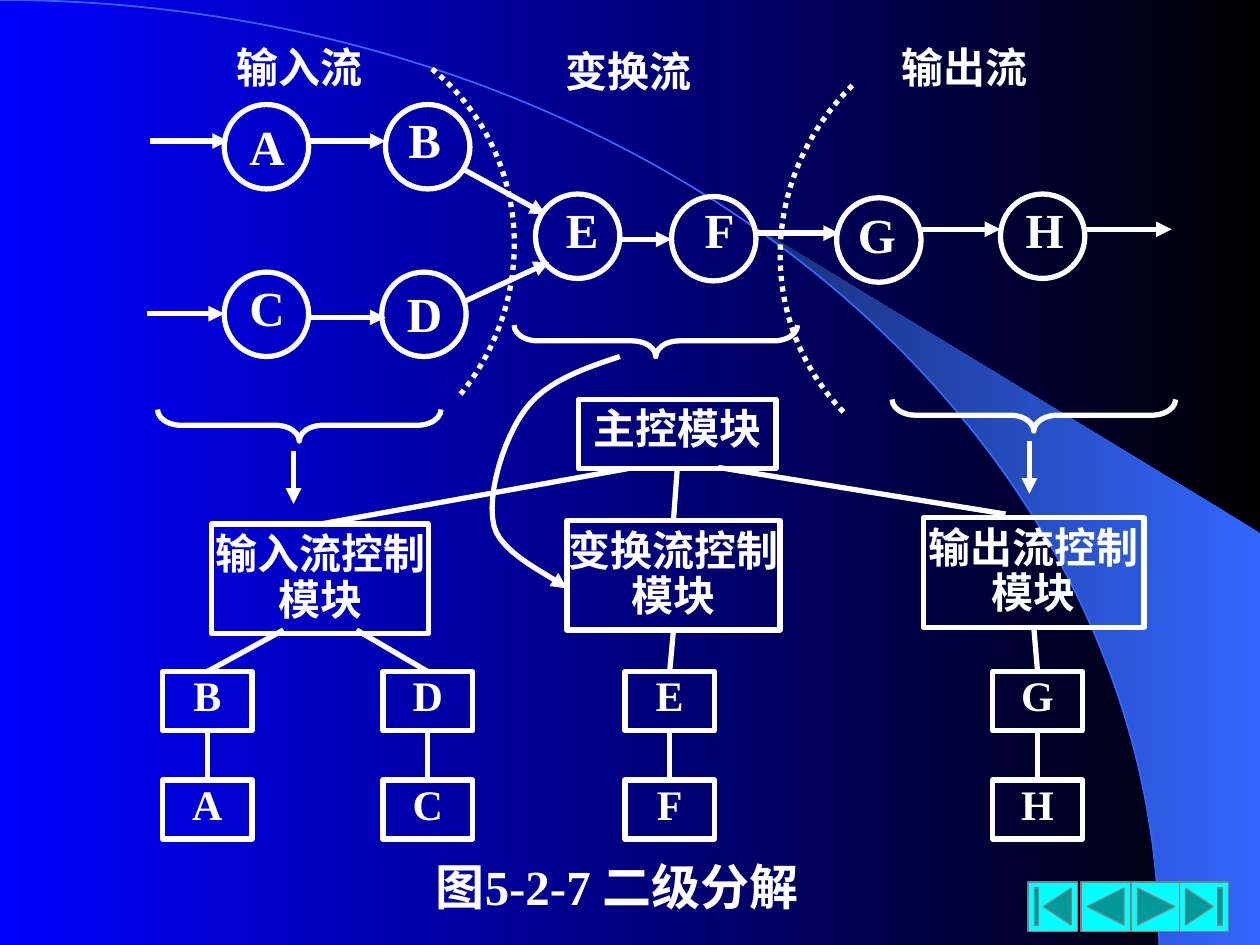
"""Draw the second-level decomposition of a data flow into a module structure."""
import math
from dataclasses import dataclass

import pptx
import pptx.dml.color
import pptx.enum.dml
import pptx.enum.shapes
import pptx.enum.text
import pptx.oxml
import pptx.oxml.ns
import pptx.util

RGBColor = pptx.dml.color.RGBColor
WHITE = RGBColor(0xFF, 0xFF, 0xFF)
BLACK = RGBColor(0x00, 0x00, 0x00)
BLUE = RGBColor(0x00, 0x00, 0xFF)
SKY = RGBColor(0x33, 0x66, 0xFF)
NAVY = RGBColor(0x17, 0x2F, 0x75)
CYAN = RGBColor(0x00, 0xFF, 0xFF)
GREY = RGBColor(0x80, 0x80, 0x80)

MSO = pptx.enum.shapes.MSO_SHAPE
ANCHOR = pptx.enum.text.MSO_ANCHOR
COLUMNS, ROWS = 100, 75
CELL = pptx.util.Inches(0.1)
TOP, BOTTOM = 0, 2
LEAF_SIZE = (7.1, 4.7)
CIRCLE_SIZE = (6.7, 6.7)
LABEL_SIZE = (5.8, 4.7)

FRAME_FORMAT = dict(word_wrap=True, vertical_anchor=ANCHOR.MIDDLE,
                    margin_left=0, margin_top=0, margin_right=0, margin_bottom=0)
CAPTION_FORMAT = dict(vertical_anchor=ANCHOR.TOP, margin_left=CELL, margin_right=3 * CELL,
                      margin_top=CELL // 2, margin_bottom=CELL // 2)
FONT_FORMAT = dict(name="Times New Roman", bold=True)


@dataclass(frozen=True)
class Process:
    """A circle of the data flow and the grid place of its letter."""
    letter: str
    col: float
    row: float
    label_col: float
    label_row: float


@dataclass(frozen=True)
class Module:
    """A box of the module structure."""
    title: str
    col: float
    row: float
    width: float
    height: float
    spacing: float = 0.72


@dataclass(frozen=True)
class Flow:
    """A straight arrow between two grid points."""
    start: tuple[float, float]
    end: tuple[float, float]


PROCESSES = [
    Process("A", 17.8, 8.3, 18.3, 9.2), Process("B", 30.6, 8.3, 30.8, 8.7),
    Process("C", 17.8, 21.6, 18.3, 22), Process("D", 30.3, 21.6, 30.8, 22.5),
    Process("E", 42.5, 15.4, 43.3, 15.8), Process("F", 53.3, 15.6, 54.2, 15.8),
    Process("G", 66.4, 15.7, 66.7, 16.2), Process("H", 79.4, 15.4, 80, 15.8),
]
FLOWS = [
    Flow((11.9, 11.2), (18.1, 11.2)), Flow((24.4, 11.2), (30.6, 11.2)),
    Flow((11.7, 24.9), (17.8, 24.9)), Flow((24.4, 25.2), (30.6, 25.2)),
    Flow((36.7, 13.4), (43.3, 17)), Flow((36.7, 24), (43.6, 20.8)),
    Flow((49.2, 19), (53.3, 19)), Flow((60, 18.5), (66.6, 18.5)),
    Flow((73, 18.2), (79.4, 18.2)), Flow((86.1, 18.2), (93, 18.2)),
    Flow((23.3, 35.8), (23.3, 40)), Flow((81.7, 35), (81.7, 39.2)),
]
STREAMS = [("输入流", 17.8, 3.3), ("变换流", 43.9, 3.6), ("输出流", 70.6, 3.3)]
BOUNDARIES = [(4.5, 1.3, 39.1), (62.2, 1.1, 225.7)]
BRACES = [(22.5, 22.5), (50.8, 15.8), (80.8, 21.7)]
MAIN = Module("主控模块", 45.9, 31.7, 15.7, 5.5)
INPUT = Module("输入流控制模块", 16.8, 41.6, 17.2, 8.7, 0.9)
TRANSFORM = Module("变换流控制模块", 45, 41.3, 16.9, 8.7, 0.9)
OUTPUT = Module("输出流控制模块", 73.3, 41.1, 17.5, 8.7, 0.9)
LEAF_COLUMNS = {"BA": 12.9, "DC": 30.4, "EF": 49.6, "GH": 78.8}
LEAF_ROWS = (53.3, 61.9)
CURVE = [
    ((49.2, 28.3), (46.2, 29.3), (43.3, 30.3), (41.7, 32.5)),
    ((41.7, 32.5), (40, 34.7), (38.6, 39.3), (39.2, 41.7)),
    ((39.2, 41.7), (39.7, 44), (44, 45.8), (45, 46.7)),
]
BUTTONS = [(MSO.ACTION_BUTTON_BEGINNING, 81.6), (MSO.ACTION_BUTTON_BACK_OR_PREVIOUS, 85.8),
           (MSO.ACTION_BUTTON_FORWARD_OR_NEXT, 89.8), (MSO.ACTION_BUTTON_END, 93.6)]


def grid(*cells: float) -> list[int]:
    """Turn grid cells into lengths."""
    return [round(cell * CELL) for cell in cells]


def assign(target, values: dict) -> None:
    """Set every format value on the target."""
    for key, value in values.items():
        setattr(target, key, value)


def paint_gradient(fill, first: RGBColor, last: RGBColor) -> None:
    """Fill from first on the right to last on the left."""
    fill.gradient()
    fill.gradient_angle = 180
    for stop, color in zip(fill.gradient_stops, (first, last)):
        stop.color.rgb = color


def draw_line(line, color: RGBColor = WHITE, width: float = 3) -> None:
    """Give a line its colour and width."""
    line.color.rgb = color
    line.width = pptx.util.Pt(width)


def add_arrowhead(shape) -> None:
    """Put a triangle at the end of a line."""
    outline = shape.element.find(".//" + pptx.oxml.ns.qn("a:ln"))
    outline.append(pptx.oxml.parse_xml(
        f'<a:tailEnd {pptx.oxml.ns.nsdecls("a")} type="triangle"/>'))


def add_outline(slide, kind, col: float, row: float, width: float, height: float):
    """Add an unfilled white preset shape."""
    shape = slide.shapes.add_shape(kind, *grid(col, row, width, height))
    shape.shadow.inherit = False
    shape.fill.background()
    draw_line(shape.line)
    return shape


def write(shape, text: str, size: float, spacing: float = 1.0, **frame_format) -> None:
    """Write one centred white paragraph."""
    assign(shape.text_frame, FRAME_FORMAT | frame_format)
    paragraph = shape.text_frame.paragraphs[0]
    assign(paragraph, dict(text=text, alignment=pptx.enum.text.PP_ALIGN.CENTER,
                           line_spacing=spacing))
    assign(paragraph.font, FONT_FORMAT | dict(size=pptx.util.Pt(size)))
    paragraph.font.color.rgb = WHITE


def add_module(slide, module: Module):
    """Add a titled module box."""
    box = add_outline(slide, MSO.RECTANGLE, module.col, module.row, module.width, module.height)
    write(box, module.title, 24, module.spacing)
    return box


def add_link(slide, start=(0, 0), end=(0, 0), parent=None, child=None, arrow=False) -> None:
    """Add a straight line, joined to a parent's bottom and a child's top if given."""
    link = slide.shapes.add_connector(
        pptx.enum.shapes.MSO_CONNECTOR.STRAIGHT, *grid(*start, *end))
    if parent is not None:
        link.begin_connect(parent, BOTTOM)
    if child is not None:
        link.end_connect(child, TOP)
    draw_line(link.line)
    if arrow:
        add_arrowhead(link)
    link.element.spPr.append(pptx.oxml.parse_xml(
        f'<a:effectLst {pptx.oxml.ns.nsdecls("a")}/>'))


def add_path(slide, points: list, close: bool):
    """Add a freeform through grid points."""
    first, *rest = [tuple(grid(*point)) for point in points]
    builder = slide.shapes.build_freeform(*first)
    builder.add_line_segments(rest, close=close)
    shape = builder.convert_to_shape()
    shape.shadow.inherit = False
    return shape


def bezier(points: tuple, share: float) -> tuple[float, float]:
    """Find the point at a share of a cubic curve."""
    weights = [math.comb(3, i) * share ** i * (1 - share) ** (3 - i) for i in range(4)]
    return tuple(sum(w * p[axis] for w, p in zip(weights, points)) for axis in (0, 1))


def add_backdrop(slide) -> None:
    """Draw the gradient background with its arc and beam."""
    paint_gradient(slide.background.fill, BLACK, BLUE)
    radius = 92
    angles = [math.radians(39.8 + 50.2 * step / 24) for step in range(25)]
    rim = [(radius * math.sin(a), ROWS * (1 - math.cos(a))) for a in angles]
    beam = add_path(slide, rim + [(COLUMNS, ROWS), (COLUMNS, 42.3)], True)
    paint_gradient(beam.fill, SKY, NAVY)
    beam.line.fill.background()
    arc = add_outline(slide, MSO.ARC, -radius, 0, 2 * radius, 2 * ROWS)
    draw_line(arc.line, SKY, 1)


def add_data_flow(slide) -> None:
    """Draw the streams, their processes and boundaries."""
    for title, col, row in STREAMS:
        write(slide.shapes.add_textbox(*grid(col, row, 11.9, 5)), title, 24, 0.72)
    for process in PROCESSES:
        add_outline(slide, MSO.OVAL, process.col, process.row, *CIRCLE_SIZE)
        place = grid(process.label_col, process.label_row, *LABEL_SIZE)
        write(slide.shapes.add_textbox(*place), process.letter, 28)
    for flow in FLOWS:
        add_link(slide, flow.start, flow.end, arrow=True)
    for col, row, rotation in BOUNDARIES:
        boundary = add_outline(slide, MSO.ARC, col, row, 36.1, 37.2)
        boundary.rotation = rotation
        boundary.line.dash_style = pptx.enum.dml.MSO_LINE.ROUND_DOT
    for col, row in BRACES:
        brace = add_outline(slide, MSO.LEFT_BRACE, col, row, 2.5, 22.5)
        brace.rotation = 270
        brace.adjustments[0] = 0.75


def add_structure(slide) -> None:
    """Draw the module tree and its links."""
    main, inlet, transform, outlet = [
        add_module(slide, module) for module in (MAIN, INPUT, TRANSFORM, OUTPUT)]
    tops = {}
    for letters, col in LEAF_COLUMNS.items():
        upper, lower = [add_module(slide, Module(letter, col, row, *LEAF_SIZE))
                        for letter, row in zip(letters, LEAF_ROWS)]
        add_link(slide, parent=upper, child=lower)
        tops[letters] = upper
    add_link(slide, start=(49.8, 37.2), child=inlet)
    add_link(slide, parent=main, child=transform)
    add_link(slide, (57, 37.1), (79.8, 40.8))
    add_link(slide, start=(22.5, 50), child=tops["BA"])
    add_link(slide, start=(28.3, 50), child=tops["DC"])
    add_link(slide, parent=transform, child=tops["EF"])
    add_link(slide, parent=outlet, child=tops["GH"])
    points = [bezier(part, step / 12) for part in CURVE for step in range(12)]
    curve = add_path(slide, points + [CURVE[-1][-1]], False)
    curve.fill.background()
    draw_line(curve.line)
    add_arrowhead(curve)


def add_footer(slide) -> None:
    """Add the caption and the navigation buttons."""
    caption = slide.shapes.add_textbox(*grid(7.5, 67.5, 85, 5.8))
    write(caption, "图5-2-7 二级分解", 28, **CAPTION_FORMAT)
    for kind, col in BUTTONS:
        button = add_outline(slide, kind, col, 70, 3.9, 3.9)
        button.fill.solid()
        button.fill.fore_color.rgb = CYAN
        draw_line(button.line, GREY, 0.75)


def main() -> None:
    """Build and save the slide."""
    deck = pptx.Presentation()
    assign(deck, dict(slide_width=COLUMNS * CELL, slide_height=ROWS * CELL))
    slide = deck.slides.add_slide(deck.slide_layouts[6])
    for draw in (add_backdrop, add_data_flow, add_structure, add_footer):
        draw(slide)
    deck.save("out.pptx")


if __name__ == "__main__":
    main()
